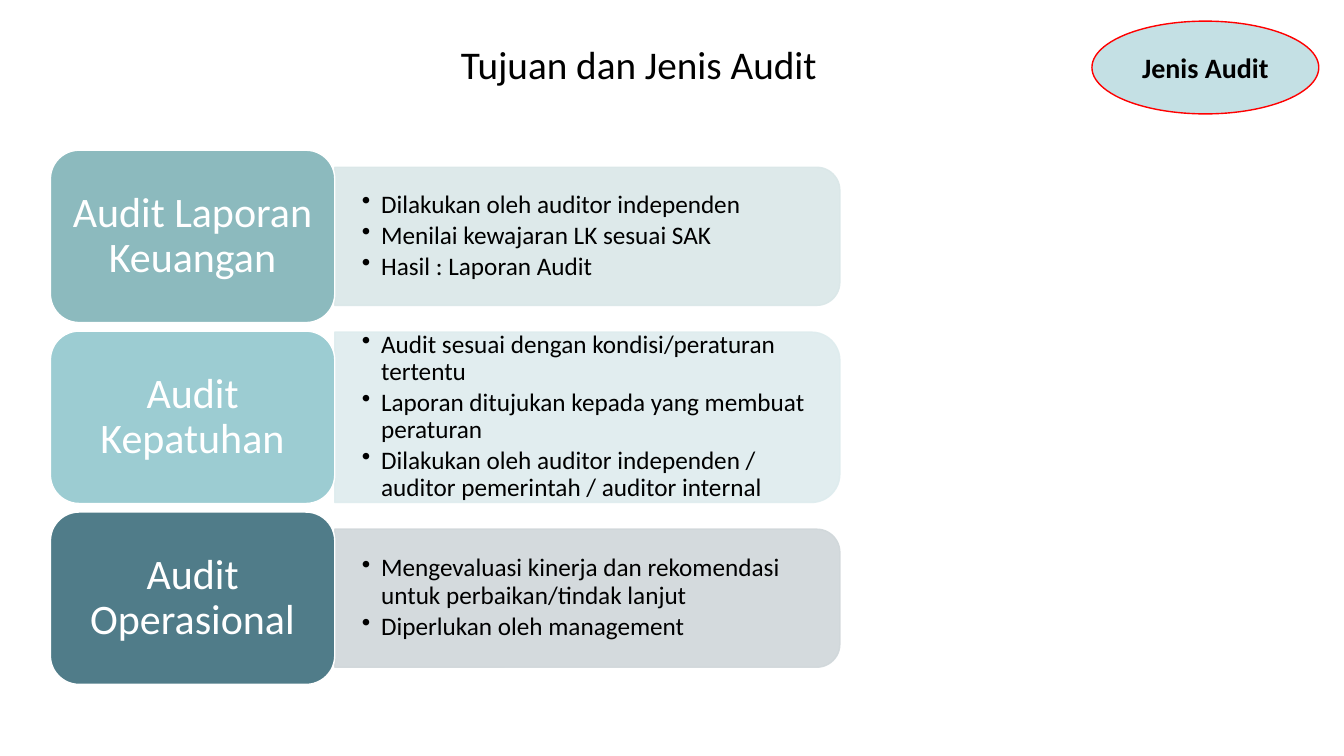
from dataclasses import dataclass

from lxml import etree
from pptx import Presentation
from pptx.dml.color import RGBColor
from pptx.enum.shapes import MSO_SHAPE
from pptx.enum.text import MSO_ANCHOR, MSO_AUTO_SIZE, PP_ALIGN
from pptx.oxml.ns import qn
from pptx.util import Pt

PX = 9144  # EMU in one px, 100 px to the inch
CENTER, LEFT = PP_ALIGN.CENTER, PP_ALIGN.LEFT
MIDDLE = MSO_ANCHOR.MIDDLE
NO_AUTOFIT = MSO_AUTO_SIZE.NONE
ELLIPSE = MSO_SHAPE.OVAL
ROUNDED = MSO_SHAPE.ROUNDED_RECTANGLE
ROUNDED_TOP = MSO_SHAPE.ROUND_2_SAME_RECTANGLE


@dataclass(frozen=True)
class Theme:
    font: str = "Calibri"
    dark: str = "000000"
    light: str = "FFFFFF"
    badge_fill: str = "C4E0E4"
    badge_line: str = "FF0000"
    title_size: int = 28
    badge_size: int = 20
    label_size: int = 30
    bullet_size: int = 18
    panel_opacity: int = 90


THEME = Theme()

# Label, label colour, panel colour, panel height in px, bullets
AUDIT_TYPES = [
    ("Audit Laporan Keuangan", "8CBABE", "DAE7E8", 137, [
        "Dilakukan oleh auditor independen",
        "Menilai kewajaran LK sesuai SAK",
        "Hasil : Laporan Audit",
    ]),
    ("Audit Kepatuhan", "9CCCD2", "DEECEE", 169, [
        "Audit sesuai dengan kondisi/peraturan tertentu",
        "Laporan ditujukan kepada yang membuat peraturan",
        "Dilakukan oleh auditor independen / auditor pemerintah / auditor internal",
    ]),
    ("Audit Operasional", "507C89", "D0D7DA", 137, [
        "Mengevaluasi kinerja dan rekomendasi untuk perbaikan/tindak lanjut",
        "Diperlukan oleh management",
    ]),
]


def px(*lengths):
    return [int(length * PX) for length in lengths]


def set_margins(frame, side, end):
    frame.margin_left = frame.margin_right = side * PX
    frame.margin_top = frame.margin_bottom = end * PX


def format_frame(frame, size, color, bold=False, align=CENTER, line_spacing=0.9):
    frame.word_wrap = True
    frame.auto_size = NO_AUTOFIT
    frame.vertical_anchor = MIDDLE
    for paragraph in frame.paragraphs:
        paragraph.alignment = align
        paragraph.line_spacing = line_spacing
        for run in paragraph.runs:
            run.font.name = THEME.font
            run.font.size = Pt(size)
            run.font.bold = bold
            run.font.color.rgb = RGBColor.from_string(color)


def add_filled_shape(slide, kind, box, fill, line):
    shape = slide.shapes.add_shape(kind, *px(*box))
    shape.shadow.inherit = False
    shape.fill.solid()
    shape.fill.fore_color.rgb = RGBColor.from_string(fill)
    shape.line.color.rgb = RGBColor.from_string(line)
    shape.line.width = Pt(1)
    return shape


def add_bullet(paragraph):
    properties = paragraph._p.get_or_add_pPr()
    properties.set("marL", str(19 * PX))
    properties.set("indent", str(-19 * PX))
    etree.SubElement(properties, qn("a:buChar")).set("char", "•")


def place_title(slide, box, text):
    title = slide.shapes.title
    title.left, title.top, title.width, title.height = px(*box)
    title.text_frame.text = text
    format_frame(title.text_frame, THEME.title_size, THEME.dark)


def add_badge(slide, box, text):
    badge = add_filled_shape(slide, ELLIPSE, box, THEME.badge_fill, THEME.badge_line)
    badge.text_frame.text = text
    format_frame(badge.text_frame, THEME.badge_size, THEME.dark, bold=True, line_spacing=1.0)


def add_panel(slide, box, color, bullets):
    left, top, width, height = box
    # A quarter turn brings the rounded corners to the right side
    turned = (left + (width - height) / 2, top + (height - width) / 2, height, width)
    panel = add_filled_shape(slide, ROUNDED_TOP, turned, color, color)
    panel.rotation = 90
    for tint in panel._element.spPr.iter(qn("a:srgbClr")):
        etree.SubElement(tint, qn("a:alpha")).set("val", str(THEME.panel_opacity * 1000))

    # Upright bullets over the panel
    text_box = slide.shapes.add_textbox(*px(left, top + 7, width - 7, height - 15))
    frame = text_box.text_frame
    set_margins(frame, 27, 14)
    for index, bullet in enumerate(bullets):
        paragraph = frame.add_paragraph() if index else frame.paragraphs[0]
        paragraph.text = bullet
        add_bullet(paragraph)
        paragraph.space_after = Pt(2.7)
    format_frame(frame, THEME.bullet_size, THEME.dark, align=LEFT)


def add_label(slide, box, color, text):
    label = add_filled_shape(slide, ROUNDED, box, color, THEME.light)
    label.text_frame.text = text
    set_margins(label.text_frame, 12, 6)
    format_frame(label.text_frame, THEME.label_size, THEME.light)


def add_audit_list(slide, box):
    left, top, width, height = box
    label_width, row_height = 282, 171
    pitch = (height - row_height) / (len(AUDIT_TYPES) - 1)
    for index, (name, label_color, panel_color, panel_height, bullets) in enumerate(AUDIT_TYPES):
        row_top = top + index * pitch
        panel_top = row_top + (row_height - panel_height) / 2
        panel_box = (left + label_width, panel_top, width - label_width, panel_height)
        add_panel(slide, panel_box, panel_color, bullets)
        add_label(slide, (left, row_top, label_width, row_height), label_color, name)


def main():
    presentation = Presentation()
    presentation.slide_width, presentation.slide_height = px(1333, 750)
    slide = presentation.slides.add_slide(presentation.slide_layouts[5])
    place_title(slide, (217, 37, 833, 59), "Tujuan dan Jenis Audit")
    add_badge(slide, (1083, 21, 225, 92), "Jenis Audit")
    add_audit_list(slide, (50, 149, 783, 530))
    presentation.save("out.pptx")


if __name__ == "__main__":
    main()
